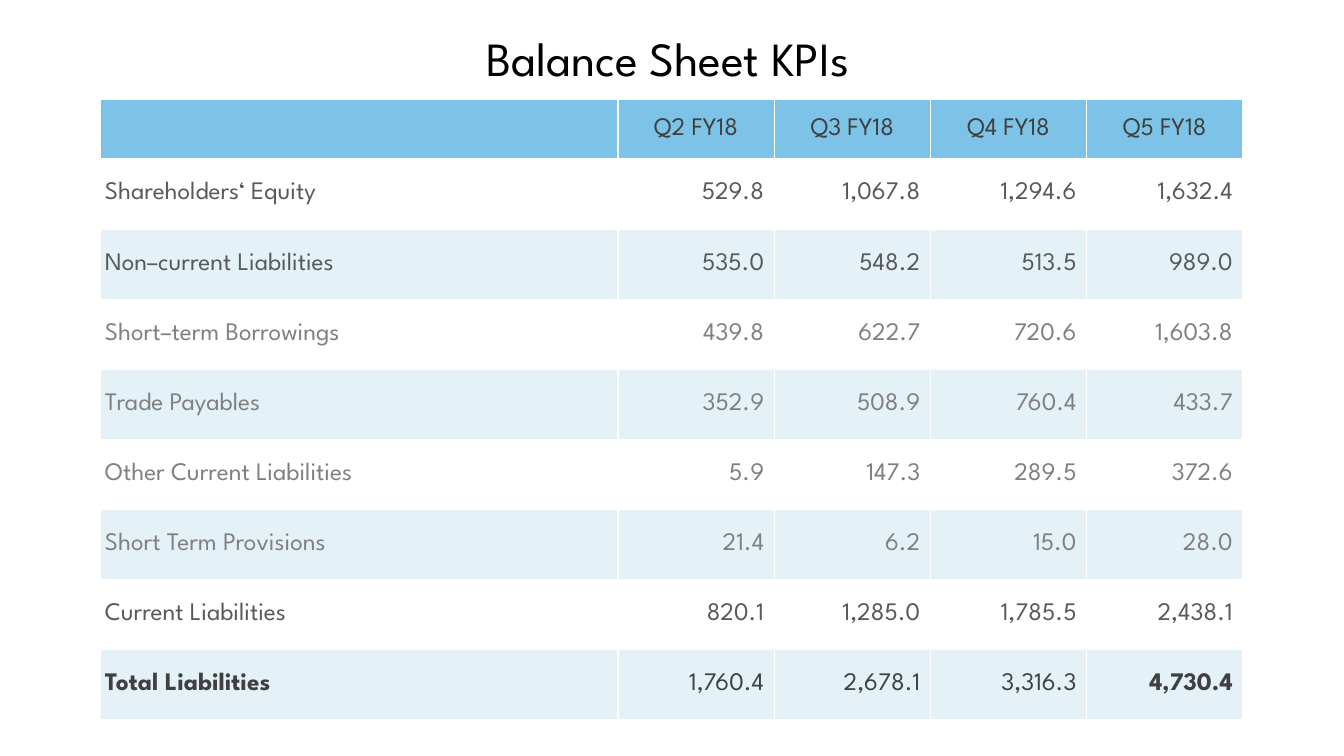
from pptx import Presentation
from pptx.dml.color import RGBColor
from pptx.enum.text import MSO_ANCHOR, PP_ALIGN
from pptx.util import Pt

TITLE = "Balance Sheet KPIs"
QUARTERS = ["Q2 FY18", "Q3 FY18", "Q4 FY18", "Q5 FY18"]
HEADER_INK, MAIN_INK, DETAIL_INK = "404040", "595959", "808080"
HEADER_FILL, BAND_FILLS = "7DC3E7", ("FFFFFF", "E4F2F8")
KPIS = [
    ("Shareholders‘ Equity", MAIN_INK, ["529.8", "1,067.8", "1,294.6", "1,632.4"]),
    ("Non–current Liabilities", MAIN_INK, ["535.0", "548.2", "513.5", "989.0"]),
    ("Short–term Borrowings", DETAIL_INK, ["439.8", "622.7", "720.6", "1,603.8"]),
    ("Trade Payables", DETAIL_INK, ["352.9", "508.9", "760.4", "433.7"]),
    ("Other Current Liabilities", DETAIL_INK, ["5.9", "147.3", "289.5", "372.6"]),
    ("Short Term Provisions", DETAIL_INK, ["21.4", "6.2", "15.0", "28.0"]),
    ("Current Liabilities", MAIN_INK, ["820.1", "1,285.0", "1,785.5", "2,438.1"]),
    ("Total Liabilities", HEADER_INK, ["1,760.4", "2,678.1", "3,316.3", "4,730.4"]),
]
BOLD_TEXTS = {"Total Liabilities", "4,730.4"}

FONT = "League Spartan"
LABEL_WIDTH, QUARTER_WIDTH = 369.4, 111.6
HEADER_HEIGHT, ROW_HEIGHT = 42.2, 50.1
INSET, NUMBER_INSET = 3, 7.2


def color(hex_text):
    return RGBColor.from_string(hex_text)


def write(frame, text, size=18, ink="000000", align=PP_ALIGN.LEFT, bold=False):
    paragraph = frame.paragraphs[0]
    paragraph.alignment = align
    run = paragraph.add_run()
    run.text = text
    run.font.name = FONT
    run.font.size = Pt(size)
    run.font.bold = bold
    run.font.color.rgb = color(ink)


def fill_cell(cell, text, fill, ink, align):
    cell.fill.solid()
    cell.fill.fore_color.rgb = color(fill)
    cell.vertical_anchor = MSO_ANCHOR.MIDDLE
    cell.margin_left = cell.margin_top = cell.margin_bottom = Pt(INSET)
    cell.margin_right = Pt(NUMBER_INSET if align == PP_ALIGN.RIGHT else INSET)
    if text:
        write(cell.text_frame, text, ink=ink, align=align, bold=text in BOLD_TEXTS)


def add_kpi_table(slide):
    width = LABEL_WIDTH + QUARTER_WIDTH * len(QUARTERS)
    height = HEADER_HEIGHT + ROW_HEIGHT * len(KPIS)
    table = slide.shapes.add_table(
        len(KPIS) + 1, len(QUARTERS) + 1, Pt(72), Pt(71.3), Pt(width), Pt(height)
    ).table
    for index, column in enumerate(table.columns):
        column.width = Pt(QUARTER_WIDTH if index else LABEL_WIDTH)
    for index, row in enumerate(table.rows):
        row.height = Pt(ROW_HEIGHT if index else HEADER_HEIGHT)

    for column, quarter in enumerate(["", *QUARTERS]):
        fill_cell(table.cell(0, column), quarter, HEADER_FILL, HEADER_INK, PP_ALIGN.CENTER)
    for row, (label, ink, amounts) in enumerate(KPIS, start=1):
        fill = BAND_FILLS[(row - 1) % 2]
        for column, text in enumerate([label, *amounts]):
            align = PP_ALIGN.RIGHT if column else PP_ALIGN.LEFT
            fill_cell(table.cell(row, column), text, fill, ink, align)


def main():
    deck = Presentation()
    deck.slide_width, deck.slide_height = Pt(960), Pt(540)
    slide = deck.slides.add_slide(deck.slide_layouts[6])
    add_kpi_table(slide)
    title = slide.shapes.add_textbox(Pt(132.5), Pt(17.3), Pt(689), Pt(48.2)).text_frame
    title.word_wrap = True
    write(title, TITLE, size=34, align=PP_ALIGN.CENTER)
    deck.save("out.pptx")


if __name__ == "__main__":
    main()
